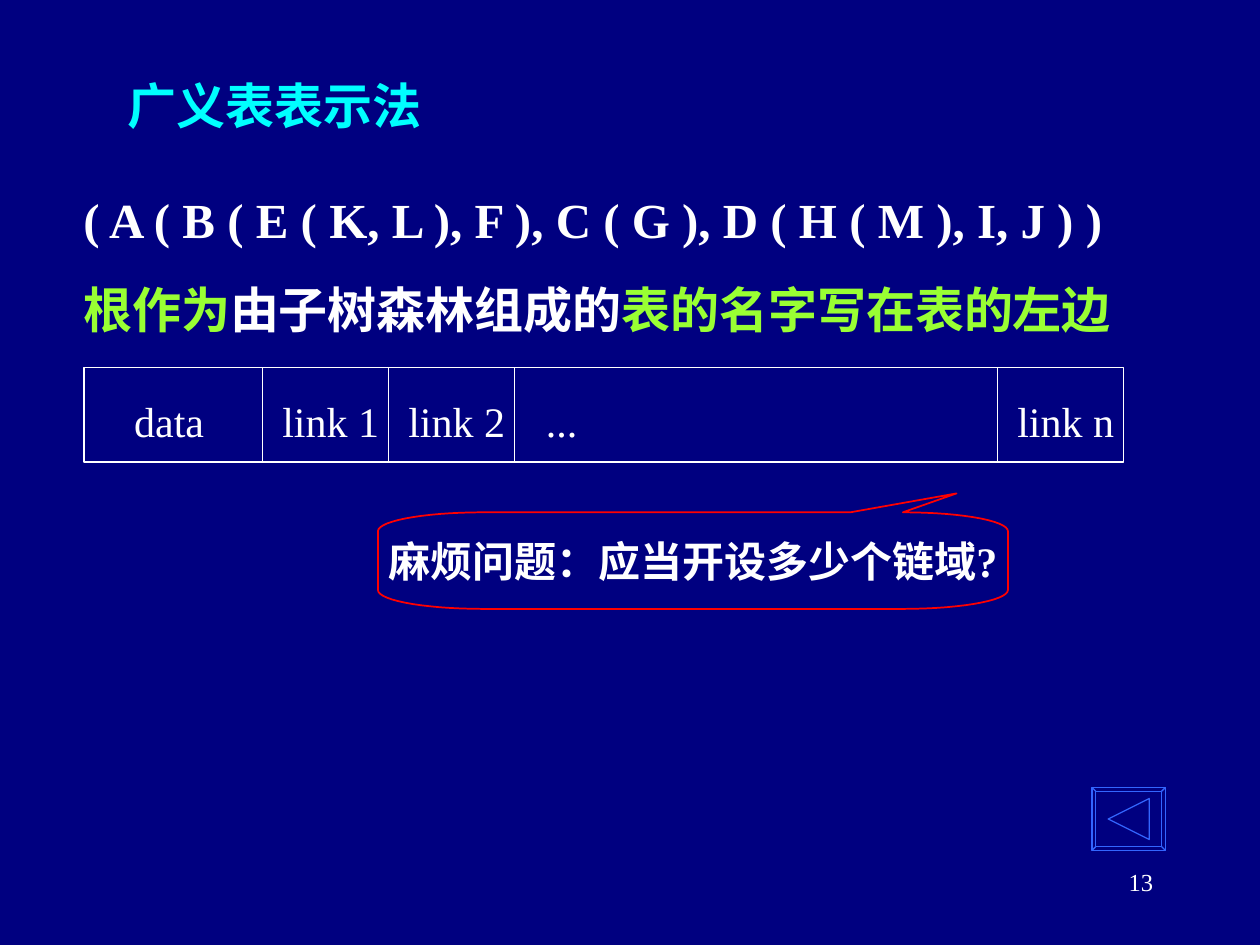
from math import cos, pi, sin
from pptx import Presentation
from pptx.dml.color import RGBColor
from pptx.enum.shapes import MSO_CONNECTOR, MSO_SHAPE
from pptx.enum.text import MSO_ANCHOR, PP_ALIGN
from pptx.util import Inches, Pt
from lxml.etree import SubElement
from pptx.oxml.ns import qn

NAVY = RGBColor(0, 0, 128)
CYAN = RGBColor(0, 255, 255)
WHITE = RGBColor(255, 255, 255)
LIME = RGBColor(153, 255, 51)
RED = RGBColor(255, 0, 0)
BLUE = RGBColor(51, 102, 255)

deck = Presentation()
deck.slide_width, deck.slide_height = Inches(10), Inches(7.5)
page = deck.slides.add_slide(deck.slide_layouts[6])
page.background.fill.solid()
page.background.fill.fore_color.rgb = NAVY
items = page.shapes
unit = deck.slide_width / 120


def grid(*spots):
    return [round(spot * unit) for spot in spots]


def write(frame, lines, size=24, bold=False, wrap=True, gap=0,
          align=PP_ALIGN.LEFT, anchor=MSO_ANCHOR.TOP):
    frame.word_wrap = wrap
    frame.vertical_anchor = anchor
    for row, parts in enumerate(lines):
        para = frame.add_paragraph() if row else frame.paragraphs[0]
        para.alignment = align
        para.space_before = Pt(gap if row else 0)
        for words, color in parts:
            run = para.add_run()
            run.text = words
            run.font.name = "Times New Roman"
            run.font.size = Pt(size)
            run.font.bold = bold
            run.font.color.rgb = color


def outline(shape, color, width=1):
    shape.shadow.inherit = False
    shape.fill.background()
    shape.line.color.rgb = color
    shape.line.width = Pt(width)


title = items.add_textbox(*grid(11, 5, 78, 10))
write(title.text_frame, [[("广义表表示法", CYAN)]], size=28, bold=True,
      anchor=MSO_ANCHOR.MIDDLE)

body = items.add_textbox(*grid(6.75, 17.5, 106.7, 18.5))
write(body.text_frame, [
    [("( A ( B ( E ( K, L ), F ), C ( G ), D ( H ( M ), I, J ) )", WHITE)],
    [("根作为", LIME), ("由子树森林组成的", WHITE), ("表的名字写在表的左边", LIME)],
], size=28, bold=True, gap=17.5)

top, base = 35, 44
frame = items.add_shape(MSO_SHAPE.RECTANGLE, *grid(8, top, 99, base - top))
outline(frame, WHITE)
for col in (25, 37, 49, 95):
    rule = items.add_connector(MSO_CONNECTOR.STRAIGHT, *grid(col, top, col, base))
    rule.line.color.rgb = WHITE
    rule.line.width = Pt(1)
    SubElement(rule.element.spPr, qn("a:effectLst"))

fields = [("data", 11.6, 9.1), ("link 1", 25.7, 11.6), ("link 2", 37.7, 11.6),
          ("...", 50.8, 5.4), ("link n", 95.7, 11.6)]
for name, left, width in fields:
    label = items.add_textbox(*grid(left, 37.1, width, 6))
    write(label.text_frame, [[(name, WHITE)]], wrap=False)

corners = [(86, 56.2, 90), (86, 50.6, 0), (46, 50.6, -90), (46, 56.2, -180)]
arcs = [[(mid + 10 * cos((turn - step) * pi / 180),
          row + 1.8 * sin((turn - step) * pi / 180)) for step in range(0, 91, 6)]
        for mid, row, turn in corners]
points = arcs[0] + arcs[1] + [(91.1, 47), (81, 48.8)] + arcs[2] + arcs[3]
spots = [grid(*point) for point in points]
path = items.build_freeform(*spots[0], scale=1)
path.add_line_segments(spots[1:], close=True)
bubble = path.convert_to_shape()
outline(bubble, RED)
write(bubble.text_frame, [[("麻烦问题：应当开设多少个链域?", WHITE)]], bold=True,
      wrap=False, align=PP_ALIGN.CENTER, anchor=MSO_ANCHOR.MIDDLE)
bubble.text_frame.margin_top = Inches(0.2)

button = items.add_shape(MSO_SHAPE.BEVEL, *grid(104, 75, 7, 6))
button.adjustments[0] = 0.06
arrow = items.add_shape(MSO_SHAPE.ISOSCELES_TRIANGLE, *grid(105.55, 76.05, 3.9, 3.9))
arrow.rotation = 270
for shape in (button, arrow):
    outline(shape, BLUE, 0.75)

number = items.add_textbox(*grid(86, 82, 25, 6))
write(number.text_frame, [[("13", WHITE)]], size=14, align=PP_ALIGN.RIGHT)

deck.save("out.pptx")
